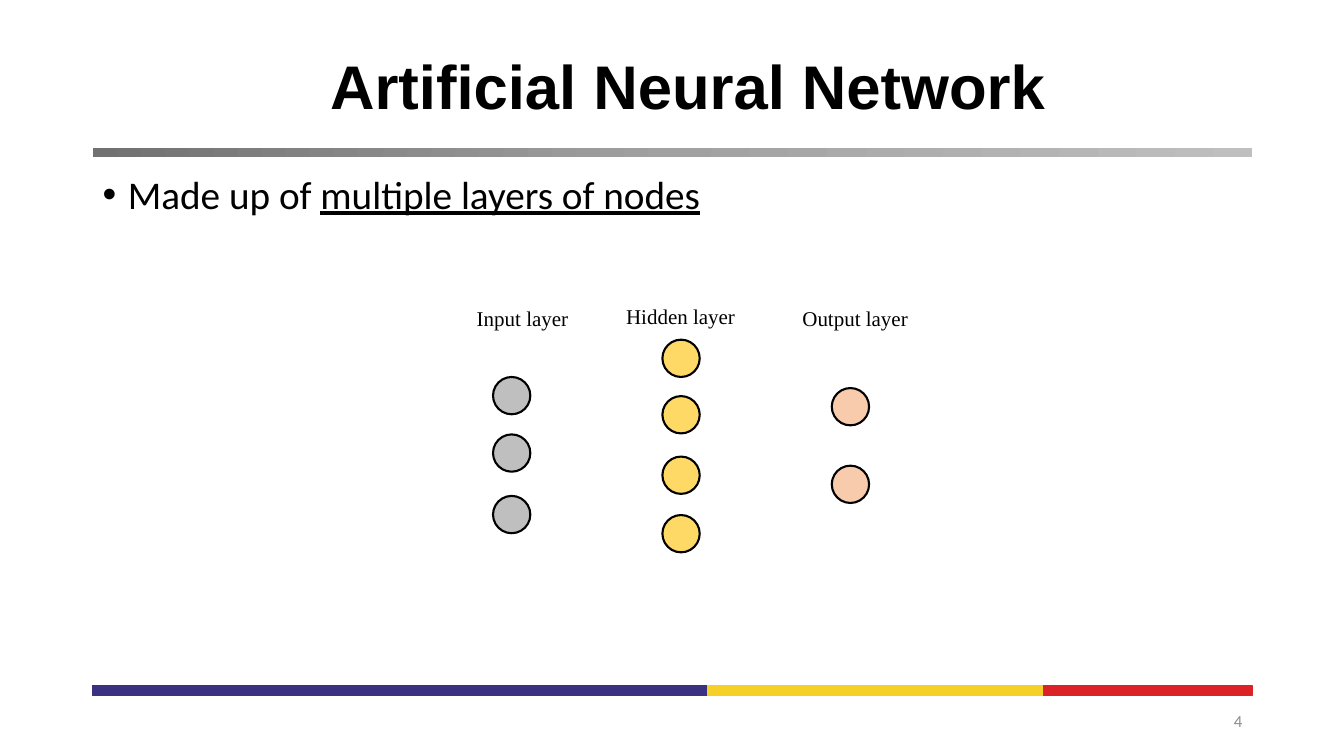
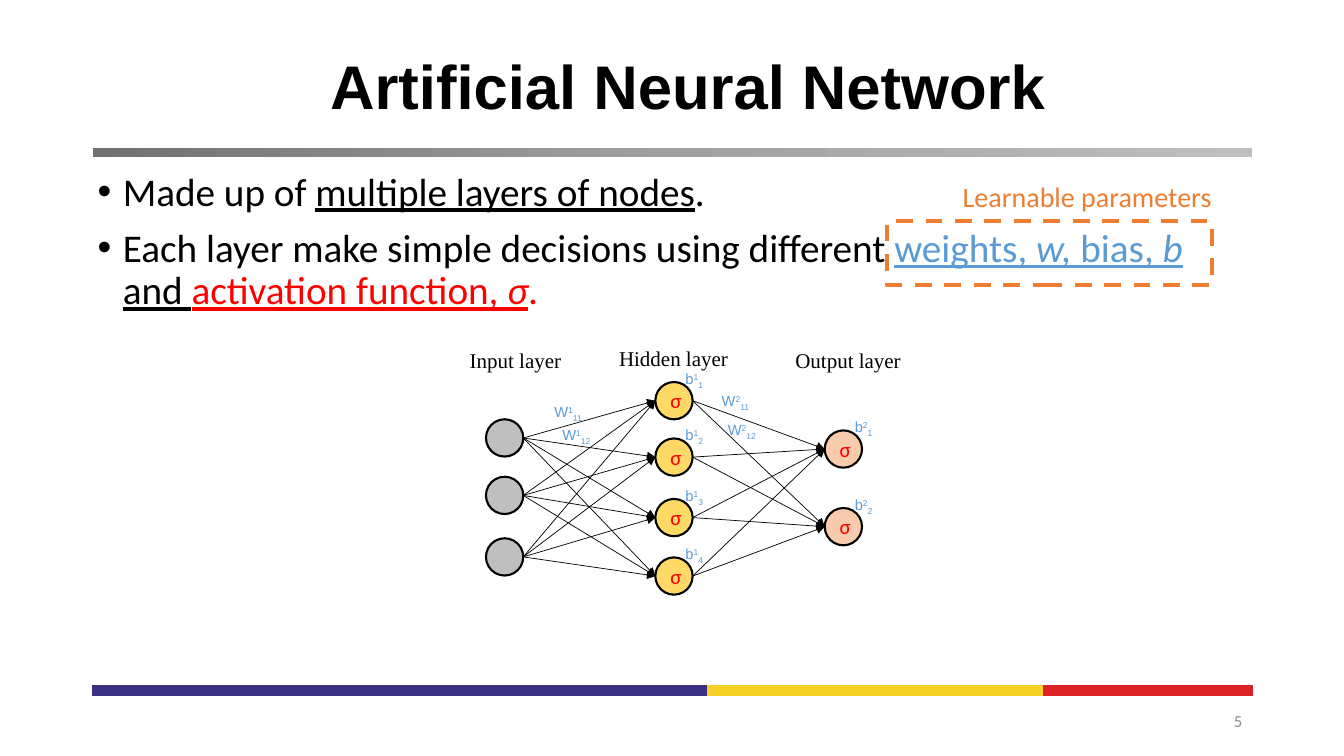
import copy
import itertools

import lxml.etree
import pptx
import pptx.dml.color
import pptx.enum.dml
import pptx.enum.shapes
import pptx.enum.text
import pptx.oxml.ns
import pptx.util

Inches, Pt = pptx.util.Inches, pptx.util.Pt
SHAPES = pptx.enum.shapes.MSO_SHAPE
ALIGN = pptx.enum.text.PP_ALIGN
ANCHOR = pptx.enum.text.MSO_ANCHOR
qn = pptx.oxml.ns.qn

COLORS = {
    "black": "000000", "number": "8C8C8C", "blue": "5B9BD5", "red": "FF0000",
    "orange": "ED7D31", "input": "BFBFBF", "hidden": "FFD966", "output": "F8CBAD",
    "band 1": "3B3183", "band 2": "F5D128", "band 3": "DB2226",
    "rule start": "717171", "rule middle": "A1A1A1", "rule end": "BFBFBF",
}
LEFT, WIDTH = 0.92, 11.5
BANDS = [("band 1", 6.1), ("band 2", 3.33), ("band 3", 2.07)]
RULE = [(0, "rule start"), (0.5, "rule middle"), (1, "rule end")]

# Positions in the network are offsets from its origin.
NODE, COLUMN = 0.37, 1.68
LAYERS = [
    {"name": "input", "rows": [0.37, 0.94, 1.55],
     "label": "Input layer", "label_box": (-0.26, -0.39, 1.22, 0.35)},
    {"name": "hidden", "rows": [0, 0.56, 1.16, 1.74],
     "label": "Hidden layer", "label_box": (1.15, -0.41, 1.42, 0.35)},
    {"name": "output", "rows": [0.48, 1.25],
     "label": "Output layer", "label_box": (2.97, -0.39, 1.44, 0.35)},
]
WEIGHTS = [("1", "11", 0.58, 0.16), ("1", "12", 0.66, 0.39),
           ("2", "11", 2.24, 0.05), ("2", "12", 2.3, 0.34)]

UNDER = {"underline": True}
BLUE = {"underline": True, "color": "blue"}
RED = {"underline": True, "color": "red"}
SLIDES = [
    {"number": "4", "title": "Artificial Neural Network",
     "body_box": (0.92, 1.69, 8.62, 3.74),
     "body": [[("Made up of ", {}), ("multiple layers of nodes", UNDER)]],
     "origin": (4.89, 3.37), "detailed": False},
    {"number": "5", "title": "Artificial Neural Network",
     "body_box": (0.87, 1.66, 11.54, 3.76),
     "body": [
         [("Made up of ", {}), ("multiple layers of nodes", UNDER), (".", {})],
         [("Each layer make simple decisions using different ", {}),
          ("weights, ", BLUE), ("w, ", {**BLUE, "italic": True}),
          ("bias, ", BLUE), ("b", {**BLUE, "italic": True}), (" ", BLUE),
          ("and ", UNDER), ("activation function, ", RED),
          ("σ", {**RED, "italic": True}), (".", {"color": "red"})]],
     "origin": (4.82, 3.79), "detailed": True,
     "callout": "Learnable parameters"},
]


def rgb(name):
    return pptx.dml.color.RGBColor.from_string(COLORS[name])


def add_text(page, box, paras, size, font="Calibri", color="black", bold=False,
             align=ALIGN.LEFT, anchor=ANCHOR.TOP, spacing=None, bullet=False):
    """Write a string, or a list of paragraphs made of (text, format) spans."""
    frame = page.shapes.add_textbox(*map(Inches, box)).text_frame
    frame.word_wrap = True
    frame.vertical_anchor = anchor
    if isinstance(paras, str):
        paras = [[(paras, {})]]
    for index, spans in enumerate(paras):
        para = frame.add_paragraph() if index else frame.paragraphs[0]
        para.alignment = align
        if spacing:
            para.line_spacing = spacing
        if bullet:
            para.space_before = Pt(10)
            props = para._p.get_or_add_pPr()
            props.set("marL", str(Inches(0.25)))
            props.set("indent", str(-Inches(0.25)))
            lxml.etree.SubElement(props, qn("a:buFont")).set("typeface", "Arial")
            lxml.etree.SubElement(props, qn("a:buChar")).set("char", "•")
        for text, style in spans:
            span = para.add_run()
            span.text = text
            span.font.name, span.font.size, span.font.bold = font, Pt(size), bold
            span.font.color.rgb = rgb(style.get("color", color))
            span.font.italic = style.get("italic", False)
            span.font.underline = style.get("underline", False)
            if "baseline" in style:
                span._r.get_or_add_rPr().set("baseline", str(style["baseline"] * 1000))


def add_figure(page, kind, box, fill=None, line=None, weight=1):
    figure = page.shapes.add_shape(kind, *map(Inches, box))
    figure.shadow.inherit = False
    if fill:
        figure.fill.solid()
        figure.fill.fore_color.rgb = rgb(fill)
    else:
        figure.fill.background()
    if line:
        figure.line.color.rgb = rgb(line)
        figure.line.width = Pt(weight)
    else:
        figure.line.fill.background()
    return figure


def add_arrow(page, start, end):
    arrow = page.shapes.add_connector(
        pptx.enum.shapes.MSO_CONNECTOR.STRAIGHT, *map(Inches, (*start, *end)))
    arrow.line.color.rgb = rgb("black")
    arrow.line.width = Pt(0.5)
    outline = arrow.line._get_or_add_ln()
    lxml.etree.SubElement(outline, qn("a:tailEnd")).set("type", "triangle")
    lxml.etree.SubElement(arrow._element.spPr, qn("a:effectLst"))


def add_symbol(page, x, y, letter, upper, lower):
    spans = [(letter, {}), (upper, {"baseline": 30}), (lower, {"baseline": -25})]
    add_text(page, (x, y, 0.56, 0.28), [spans], 10.5, font="Arial", color="blue")


def add_frame(page, title, number):
    """Draw the title, gradient rule, footer bands and slide number."""
    rule = add_figure(page, SHAPES.RECTANGLE, (LEFT, 1.47, WIDTH, 0.09))
    rule.fill.gradient()
    rule.fill.gradient_angle = 0
    first = rule._element.spPr.find(".//" + qn("a:gs"))
    first.addnext(copy.deepcopy(first))
    for stop, (position, color) in zip(rule.fill.gradient_stops, RULE):
        stop.position = position
        stop.color.rgb = rgb(color)
    x = LEFT
    for color, width in BANDS:
        add_figure(page, SHAPES.RECTANGLE, (x, 6.8, width, 0.1), color, color)
        x += width
    add_text(page, (9.42, 6.95, 3, 0.4), number, 12, color="number",
             align=ALIGN.RIGHT, anchor=ANCHOR.MIDDLE)
    add_text(page, (LEFT, 0.32, 11.81, 1.13), title, 44, font="Arial", bold=True,
             align=ALIGN.CENTER, anchor=ANCHOR.MIDDLE, spacing=0.9)


def add_network(page, origin, detailed):
    """Draw the layers; when detailed, also arrows, weights, biases and σ."""
    left, top = origin
    layers = [[(left + column * COLUMN, top + row) for row in layer["rows"]]
              for column, layer in enumerate(LAYERS)]
    for layer, nodes in zip(LAYERS, layers):
        for x, y in nodes:
            add_figure(page, SHAPES.OVAL, (x, y, NODE, NODE),
                       layer["name"], "black", 1.5)
        dx, dy, width, height = layer["label_box"]
        add_text(page, (left + dx, top + dy, width, height), layer["label"], 15,
                 font="Times New Roman",
                 align=ALIGN.CENTER if layer["name"] == "hidden" else ALIGN.LEFT)
    if not detailed:
        return
    for sources, targets in itertools.pairwise(layers):
        for (x1, y1), (x2, y2) in itertools.product(sources, targets):
            add_arrow(page, (x1 + NODE, y1 + NODE / 2), (x2, y2 + NODE / 2))
    for upper, lower, dx, dy in WEIGHTS:
        add_symbol(page, left + dx, top + dy, "W", upper, lower)
    for level, nodes in enumerate(layers[1:], 1):
        for index, (x, y) in enumerate(nodes, 1):
            add_text(page, (x + 0.05, y + 0.01, 0.44, 0.35), "σ", 15, color="red")
            add_symbol(page, x + 0.2, y - 0.17, "b", str(level), str(index))


def add_callout(page, text):
    add_text(page, (9.45, 1.73, 3.01, 0.44), text, 20, color="orange")
    box = add_figure(page, SHAPES.RECTANGLE, (8.8, 2.19, 3.22, 0.64),
                     line="orange", weight=3)
    box.line.dash_style = pptx.enum.dml.MSO_LINE.DASH


def main():
    deck = pptx.Presentation()
    deck.slide_width, deck.slide_height = Inches(13.33), Inches(7.5)
    for content in SLIDES:
        page = deck.slides.add_slide(deck.slide_layouts[6])
        add_frame(page, content["title"], content["number"])
        add_text(page, content["body_box"], content["body"], 28,
                 spacing=0.9, bullet=True)
        add_network(page, content["origin"], content["detailed"])
        if "callout" in content:
            add_callout(page, content["callout"])
    deck.save("out.pptx")


if __name__ == "__main__":
    main()
